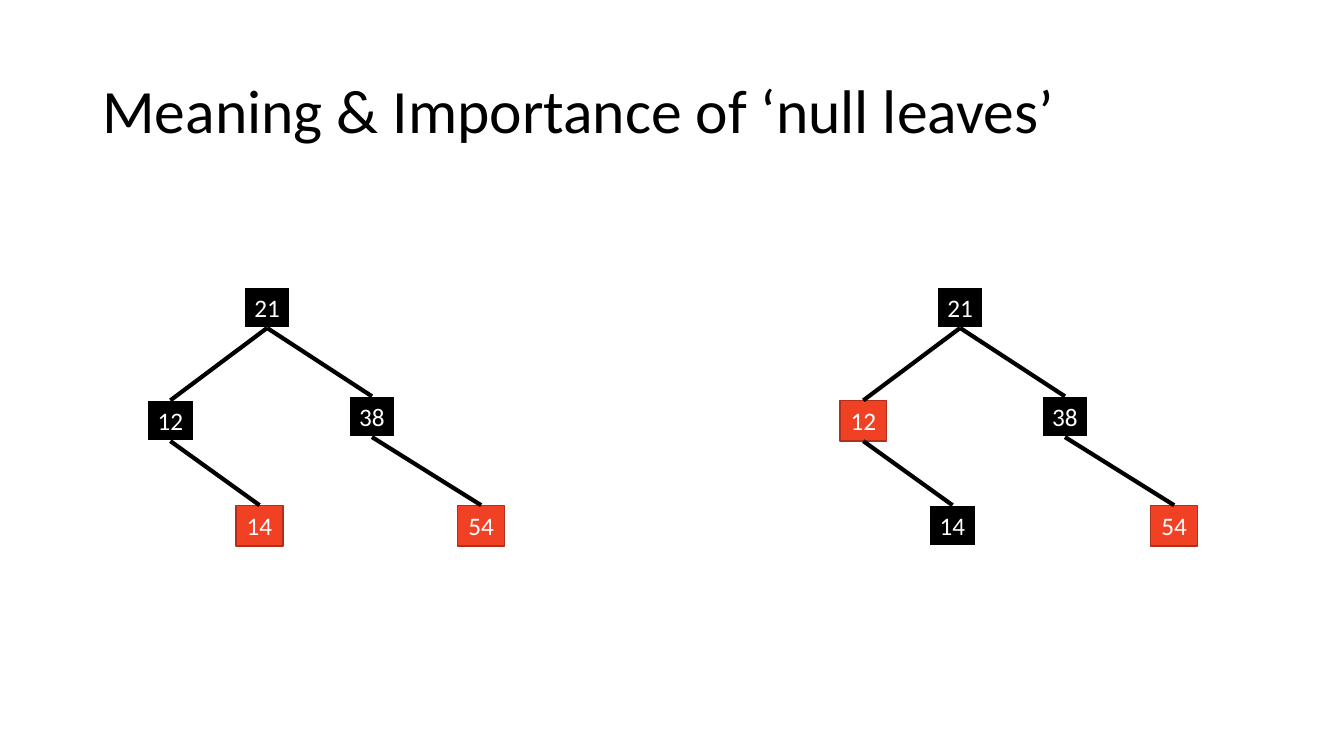
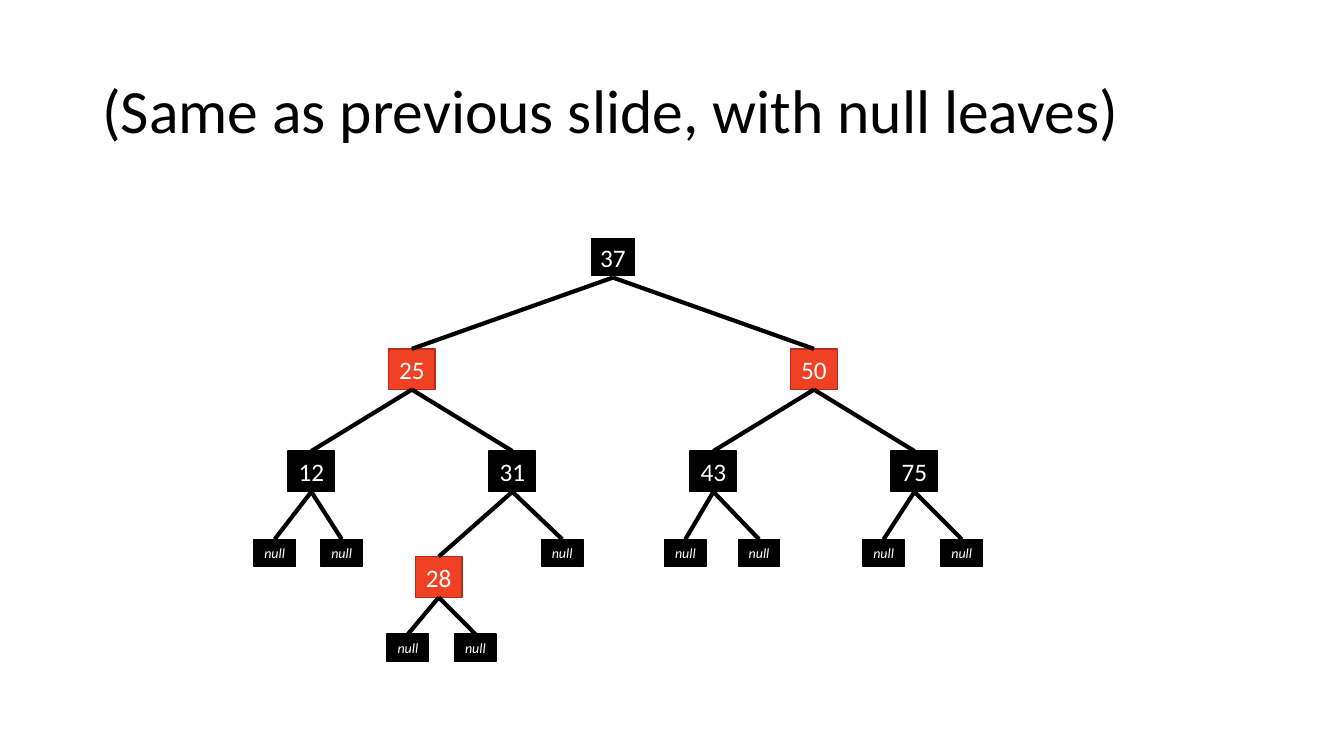
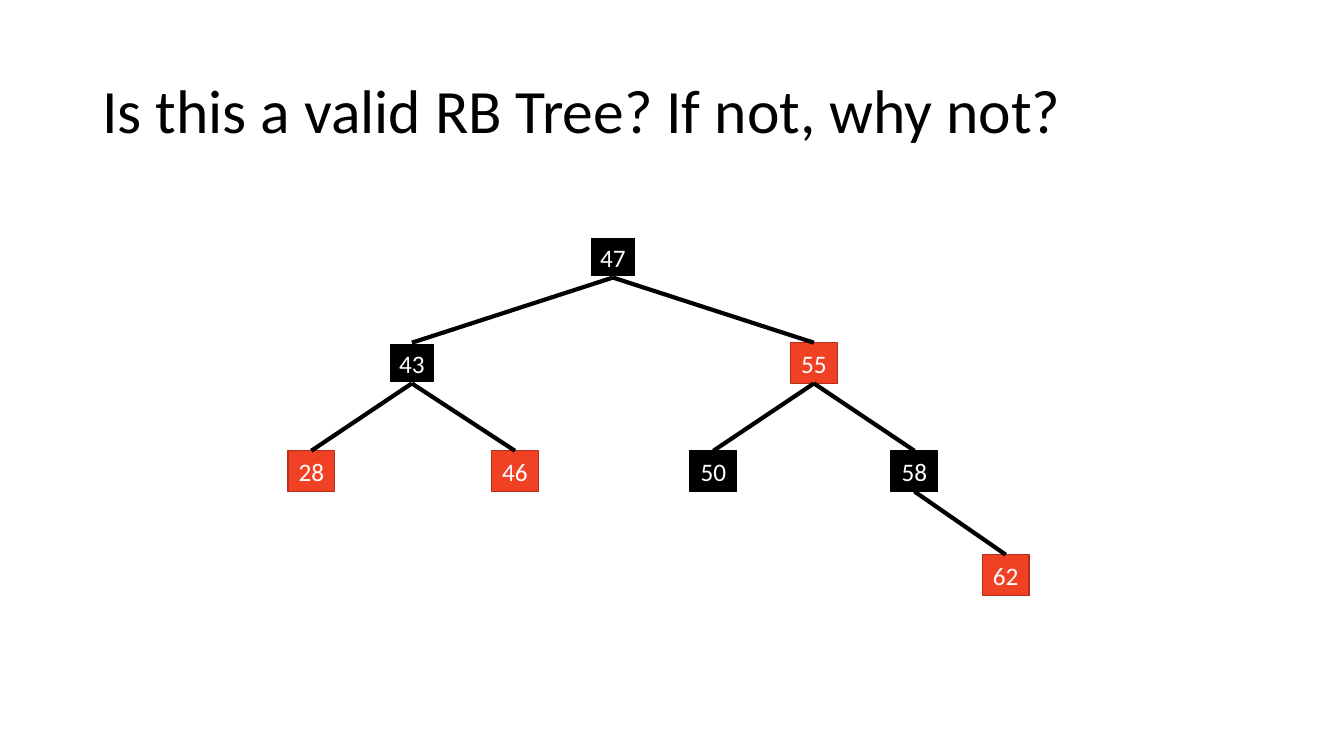
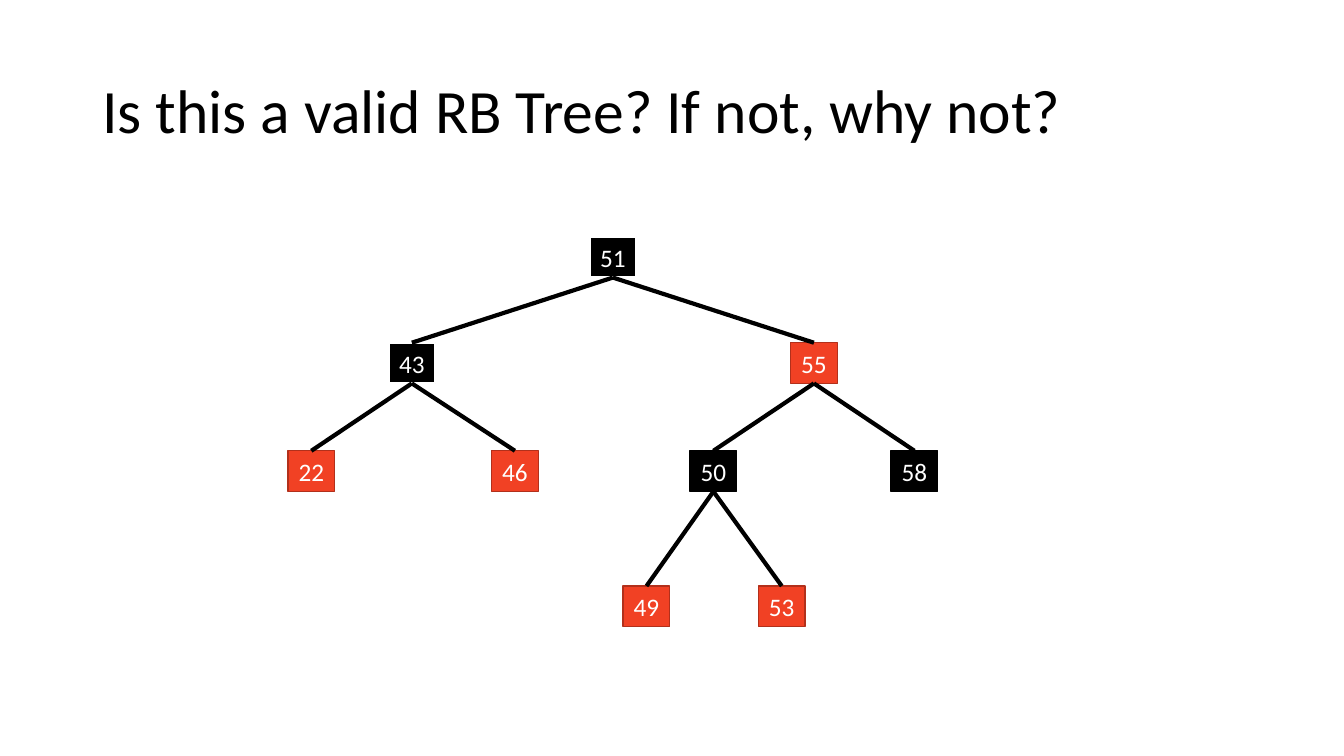
from dataclasses import dataclass

from lxml.etree import SubElement
from pptx import Presentation
from pptx.dml.color import RGBColor
from pptx.enum.shapes import MSO_CONNECTOR, MSO_SHAPE
from pptx.enum.text import MSO_ANCHOR, PP_ALIGN
from pptx.oxml.ns import qn
from pptx.util import Pt

BLACK = RGBColor(0x00, 0x00, 0x00)
WHITE = RGBColor(0xFF, 0xFF, 0xFF)
RED = RGBColor(0xF1, 0x41, 0x24)
RUST = RGBColor(0xB2, 0x30, 0x1B)
FONT = "Calibri"
TITLE_BOX = (66, 28.75, 828, 104.4)
TREE_BOX = (180, 169.2, 515.6)
PAIR_BOX = (105, 205.2, 171.6)
PAIR_STEP = 495
SPREAD = 143.6
HALF = SPREAD / 2


@dataclass
class Look:
    fill: RGBColor
    edge: RGBColor
    weight: float = 1
    width: float = 33.4
    height: float = 29.08
    size: float = 18
    slant: bool = False


RIM = Look(BLACK, WHITE, 1.5)
DARK = Look(BLACK, BLACK)
HOT = Look(RED, RUST)
NULL = Look(BLACK, BLACK, 1, 29.7, 19.4, 10, True)


@dataclass
class Node:
    """A tree node; shift and drop are measured from its parent."""
    label: str
    look: Look
    shift: float = 0
    drop: float = 0
    kids: tuple = ()


def style(frame, size, color, slant=False):
    frame.vertical_anchor = MSO_ANCHOR.MIDDLE
    for run in frame.paragraphs[0].runs:
        font = run.font
        font.name, font.size, font.italic = FONT, Pt(size), slant
        font.color.rgb = color


def add_page(deck, title):
    slide = deck.slides.add_slide(deck.slide_layouts[6])
    frame = slide.shapes.add_textbox(*map(Pt, TITLE_BOX)).text_frame
    frame.word_wrap = True
    frame.text = title
    frame.paragraphs[0].line_spacing = 0.9
    style(frame, 44, BLACK)
    return slide


def add_key(slide, node, mid, top):
    """Draw one node, centred on mid."""
    look = node.look
    key = slide.shapes.add_shape(
        MSO_SHAPE.RECTANGLE, Pt(mid - look.width / 2), Pt(top),
        Pt(look.width), Pt(look.height))
    key.shadow.inherit = False
    key.fill.solid()
    key.fill.fore_color.rgb = look.fill
    key.line.color.rgb = look.edge
    key.line.width = Pt(look.weight)
    frame = key.text_frame
    frame.word_wrap = False
    frame.text = node.label
    frame.paragraphs[0].alignment = PP_ALIGN.CENTER
    style(frame, look.size, WHITE, look.slant)
    return key


def link(slide, upper, lower):
    edge = slide.shapes.add_connector(MSO_CONNECTOR.STRAIGHT, 0, 0, 0, 0)
    edge.begin_connect(upper, 2)
    edge.end_connect(lower, 0)
    edge.line.color.rgb = BLACK
    edge.line.width = Pt(3)
    SubElement(edge._element.spPr, qn("a:effectLst"))


def grow(slide, node, mid, top):
    """Draw a node and all below it, and return its shape."""
    key = add_key(slide, node, mid, top)
    for kid in node.kids:
        link(slide, key, grow(slide, kid, mid + kid.shift, top + kid.drop))
    return key


def add_tree(slide, box, root):
    left, top, width = box
    grow(slide, root, left + width / 2, top)


def small_tree(left, low):
    """Five nodes; left and low are the looks of 12 and 14."""
    return Node("21", RIM, kids=(
        Node("12", left, -69.1, 80.8, (Node("14", low, 63.7, 74.9),)),
        Node("38", RIM, 74.9, 77.9, (Node("54", HOT, 78, 77.8),))))


def nulls(left, right, drop=63):
    return (Node("null", NULL, -left, drop), Node("null", NULL, right, drop))


def null_tree():
    low = Node("28", HOT, -52.6, 75.4, nulls(22, 26.2, 55.4))
    return Node("37", RIM, kids=(
        Node("25", HOT, -SPREAD, 80, (
            Node("12", DARK, -HALF, 73, nulls(26.2, 21.7)),
            Node("31", DARK, HALF, 73,
                 (low, Node("null", NULL, 35.6, 63))))),
        Node("50", HOT, SPREAD, 80, (
            Node("43", DARK, -HALF, 73, nulls(20, 32.6)),
            Node("75", DARK, HALF, 73, nulls(22, 33.8))))))


def quiz_tree(root, first, under_50=(), under_58=()):
    return Node(root, RIM, kids=(
        Node("43", RIM, -SPREAD, 75.6, (
            Node(first, HOT, -HALF, 77.2),
            Node("46", HOT, 73.6, 77.2))),
        Node("55", HOT, SPREAD, 75.6, (
            Node("50", DARK, -HALF, 77.2, under_50),
            Node("58", DARK, HALF, 77.2, under_58)))))


def main():
    deck = Presentation()
    deck.slide_width, deck.slide_height = Pt(960), Pt(540)

    slide = add_page(deck, "Meaning & Importance of ‘null leaves’")
    left, top, width = PAIR_BOX
    for place, looks in enumerate(((RIM, HOT), (HOT, RIM))):
        box = (left + place * PAIR_STEP, top, width)
        add_tree(slide, box, small_tree(*looks))

    quiz = "Is this a valid RB Tree? If not, why not?"
    pair = (Node("49", HOT, -47.8, 96.6), Node("53", HOT, 48.8, 96.6))
    pages = (
        ("(Same as previous slide, with null leaves)", null_tree()),
        (quiz, quiz_tree("47", "28",
                         under_58=(Node("62", HOT, 65.2, 74.2),))),
        (quiz, quiz_tree("51", "22", under_50=pair)),
    )
    for title, root in pages:
        add_tree(add_page(deck, title), TREE_BOX, root)

    deck.save("out.pptx")


if __name__ == "__main__":
    main()
